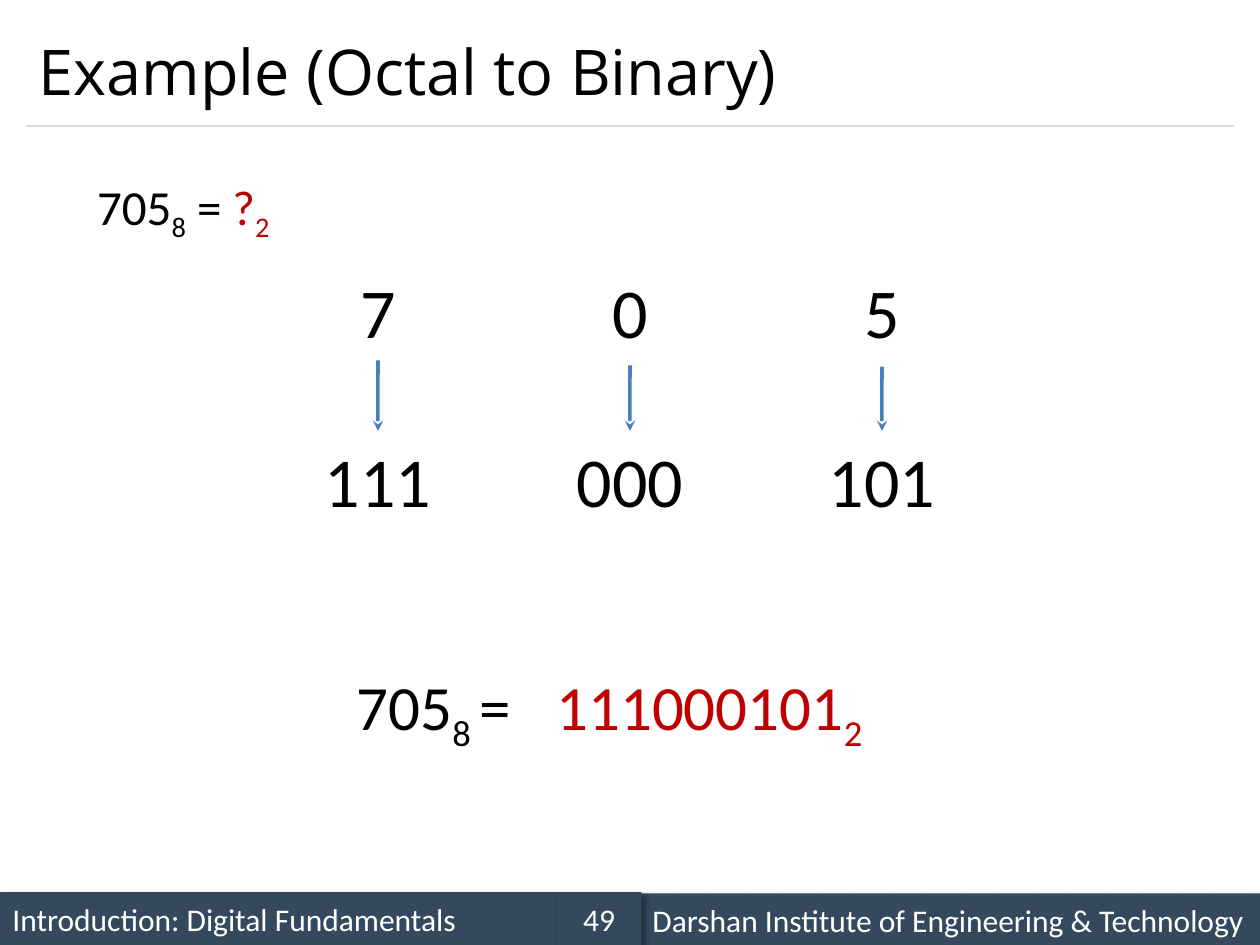
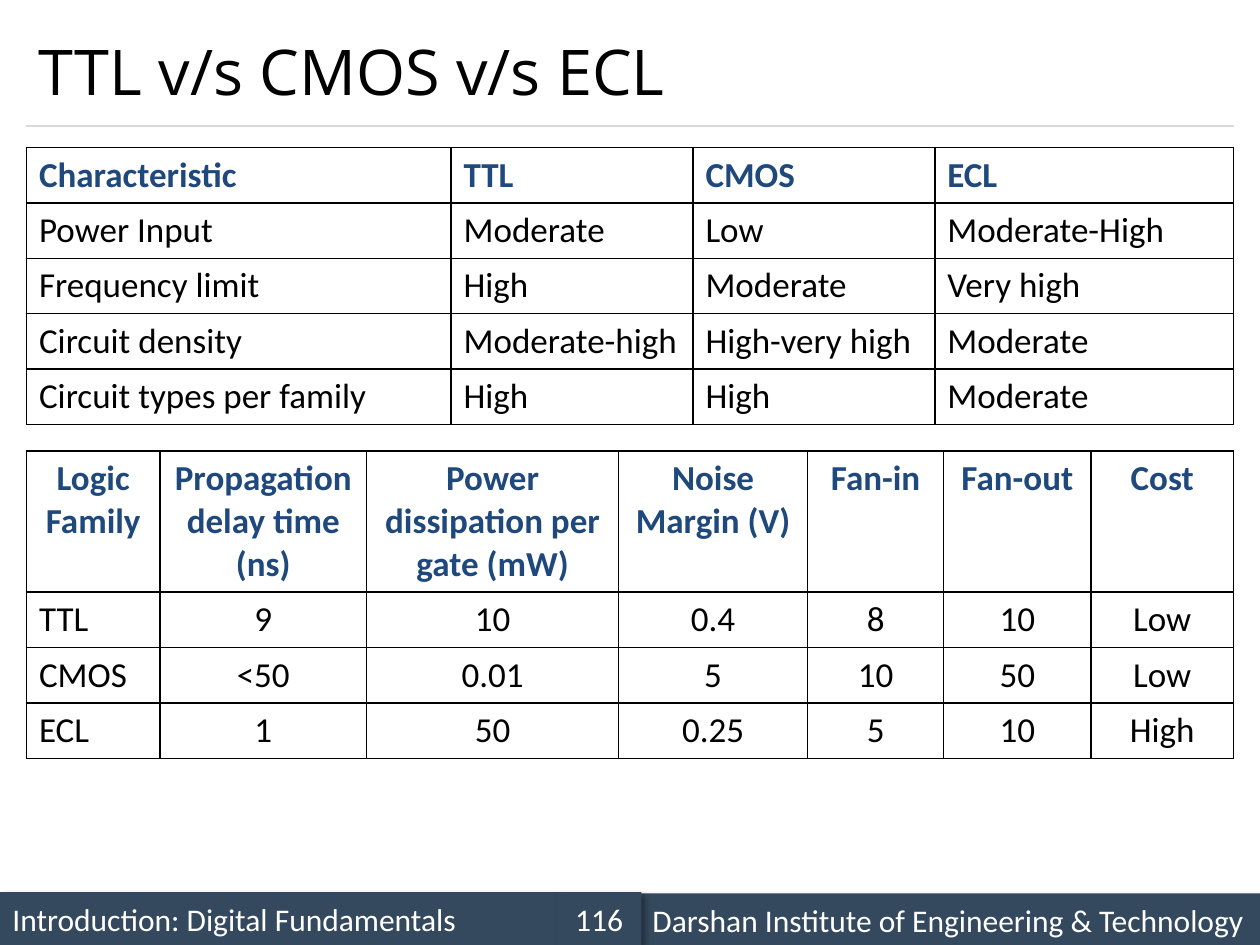
from lxml import etree
from pptx import Presentation
from pptx import util as u
from pptx.dml import color
from pptx.enum import shapes, text
from pptx.oxml import ns

BODY, HEAD = "Calibri", "Open Sans"
BLACK, WHITE, RED = "000000", "FFFFFF", "C00000"
BAND, RULE, ARROW, TITLE = "34495E", "D9D9D9", "4B7EBC", "1F497D"
LEFT, MID = text.PP_ALIGN.LEFT, text.PP_ALIGN.CENTER
EDGE, WIDE = 0.21, 9.58


def rgb(code):
    return color.RGBColor.from_string(code)


def node(base, tag, **attrs):
    return etree.SubElement(base, ns.qn(tag), attrs)


def style(run, size, tone=BLACK, font=BODY, bold=False):
    run.font.size = u.Pt(size)
    run.font.name = font
    run.font.bold = bold
    run.font.color.rgb = rgb(tone)


def label(slide, at, words, size, font=BODY, align=MID, tone=BLACK):
    box = slide.shapes.add_textbox(*map(u.Inches, at))
    box.text_frame.word_wrap = True
    para = box.text_frame.paragraphs[0]
    para.text = words
    para.alignment = align
    style(para.runs[0], size, tone, font)
    return box


def number(slide, at, parts, size):
    box = slide.shapes.add_textbox(*map(u.Inches, at))
    box.text_frame.word_wrap = True
    para = box.text_frame.paragraphs[0]
    para.alignment = MID
    for words, tone, sub in parts:
        run = para.add_run()
        run.text = words
        style(run, size, tone)
        if sub:
            run.font._element.set("baseline", "-25000")


def line(slide, start, end, tone, width):
    link = slide.shapes.add_connector(
        shapes.MSO_CONNECTOR.STRAIGHT, *map(u.Inches, start + end))
    link.line.color.rgb = rgb(tone)
    link.line.width = u.Pt(width)
    node(link._element.spPr, "a:effectLst")
    return link


def arrow(slide, start, end, box):
    link = line(slide, start, end, ARROW, 2)
    link.end_connect(box, 0)
    node(link.line._get_or_add_ln(), "a:tailEnd", type="stealth")


def band(slide, at, words, align=LEFT):
    bar = slide.shapes.add_shape(
        shapes.MSO_SHAPE.RECTANGLE, *map(u.Inches, at))
    bar.fill.solid()
    bar.fill.fore_color.rgb = rgb(BAND)
    bar.line.fill.background()
    bar.shadow.inherit = False
    glow = node(bar._element.spPr.find(ns.qn("a:effectLst")), "a:outerShdw",
                blurRad=str(u.Pt(4)), dist=str(u.Pt(3)), dir="2700000",
                algn="tl", rotWithShape="0")
    node(node(glow, "a:srgbClr", val=BLACK), "a:alpha", val="40000")
    frame = bar.text_frame
    frame.vertical_anchor = text.MSO_ANCHOR.MIDDLE
    para = frame.paragraphs[0]
    para.text = words
    para.alignment = align
    style(para.runs[0], 18, WHITE)


def page(deck, title, count):
    slide = deck.slides.add_slide(deck.slide_layouts[6])
    band(slide, (0, 7.08, 4.42, 0.42), "Introduction: Digital Fundamentals")
    line(slide, (EDGE, 1), (EDGE + WIDE, 1), RULE, 0.75)
    band(slide, (5.08, 7.09, 4.92, 0.42),
         "Darshan Institute of Engineering & Technology")
    band(slide, (4.42, 7.08, 0.67, 0.42), str(count), MID)
    box = label(slide, (EDGE, 0.12, WIDE, 0.88), title, 36, HEAD, LEFT)
    box.text_frame.vertical_anchor = text.MSO_ANCHOR.MIDDLE
    return slide


def border(cell):
    props = cell._tc.get_or_add_tcPr()
    for side in "LRTB":
        edge = node(props, f"a:ln{side}", w=str(u.Pt(1)))
        node(node(edge, "a:solidFill"), "a:srgbClr", val=BLACK)


def grid(slide, top, widths, heights, rows, align):
    size = (EDGE, top, sum(widths), sum(heights))
    table = slide.shapes.add_table(
        len(rows), len(widths), *map(u.Inches, size)).table
    for col, width in zip(table.columns, widths):
        col.width = u.Inches(width)
    for r, (row, height) in enumerate(zip(rows, heights)):
        table.rows[r].height = u.Inches(height)
        for c, words in enumerate(row):
            cell = table.cell(r, c)
            border(cell)
            cell.fill.background()
            para = cell.text_frame.paragraphs[0]
            para.text = words
            para.alignment = LEFT if r and not c else align
            style(para.runs[0], 20, BLACK if r else TITLE, bold=r == 0)


def octal(deck):
    slide = page(deck, "Example (Octal to Binary)", 49)
    number(slide, (0.33, 1.35, 2.25, 0.57),
           [("705", BLACK, False), ("8", BLACK, True), (" = ", BLACK, False),
            ("?", RED, False), ("2", RED, True)], 28)
    for i, (digit, top) in enumerate([("7", 2.86), ("0", 2.9), ("5", 2.91)]):
        x = 3 + 2 * i
        label(slide, (x - 0.57, 2.08, 1.14, 0.77), digit, 40)
        bits = label(slide, (x - 0.57, 3.42, 1.14, 0.77),
                     f"{int(digit):03b}", 40)
        arrow(slide, (x, top), (x, 3.42), bits)
    number(slide, (2.55, 5.25, 1.78, 0.71),
           [("705", BLACK, False), ("8 ", BLACK, True), ("=", BLACK, False)],
           36)
    number(slide, (4.17, 5.25, 2.92, 0.71),
           [("111000101", RED, False), ("2", RED, True)], 36)


def logic(deck):
    slide = page(deck, "TTL v/s CMOS v/s ECL", 116)
    traits = [
        ["Characteristic", "TTL", "CMOS", "ECL"],
        ["Power Input", "Moderate", "Low", "Moderate-High"],
        ["Frequency limit", "High", "Moderate", "Very high"],
        ["Circuit density", "Moderate-high", "High-very high", "Moderate"],
        ["Circuit types per family", "High", "High", "Moderate"],
    ]
    grid(slide, 1.17, [3.37, 1.92, 1.92, 2.37], [0.44] * 5, traits, LEFT)
    values = [
        ["Logic Family", "Propagation delay time (ns)",
         "Power dissipation per gate (mW)", "Noise Margin (V)",
         "Fan-in", "Fan-out", "Cost"],
        ["TTL", "9", "10", "0.4", "8", "10", "Low"],
        ["CMOS", "<50", "0.01", "5", "10", "50", "Low"],
        ["ECL", "1", "50", "0.25", "5", "10", "High"],
    ]
    grid(slide, 3.58, [1.06, 1.64, 2, 1.5, 1.08, 1.17, 1.13],
         [1.12] + [0.44] * 3, values, MID)


def main():
    deck = Presentation()
    deck.slide_width = u.Inches(10)
    deck.slide_height = u.Inches(7.5)
    octal(deck)
    logic(deck)
    deck.save("out.pptx")


if __name__ == "__main__":
    main()
